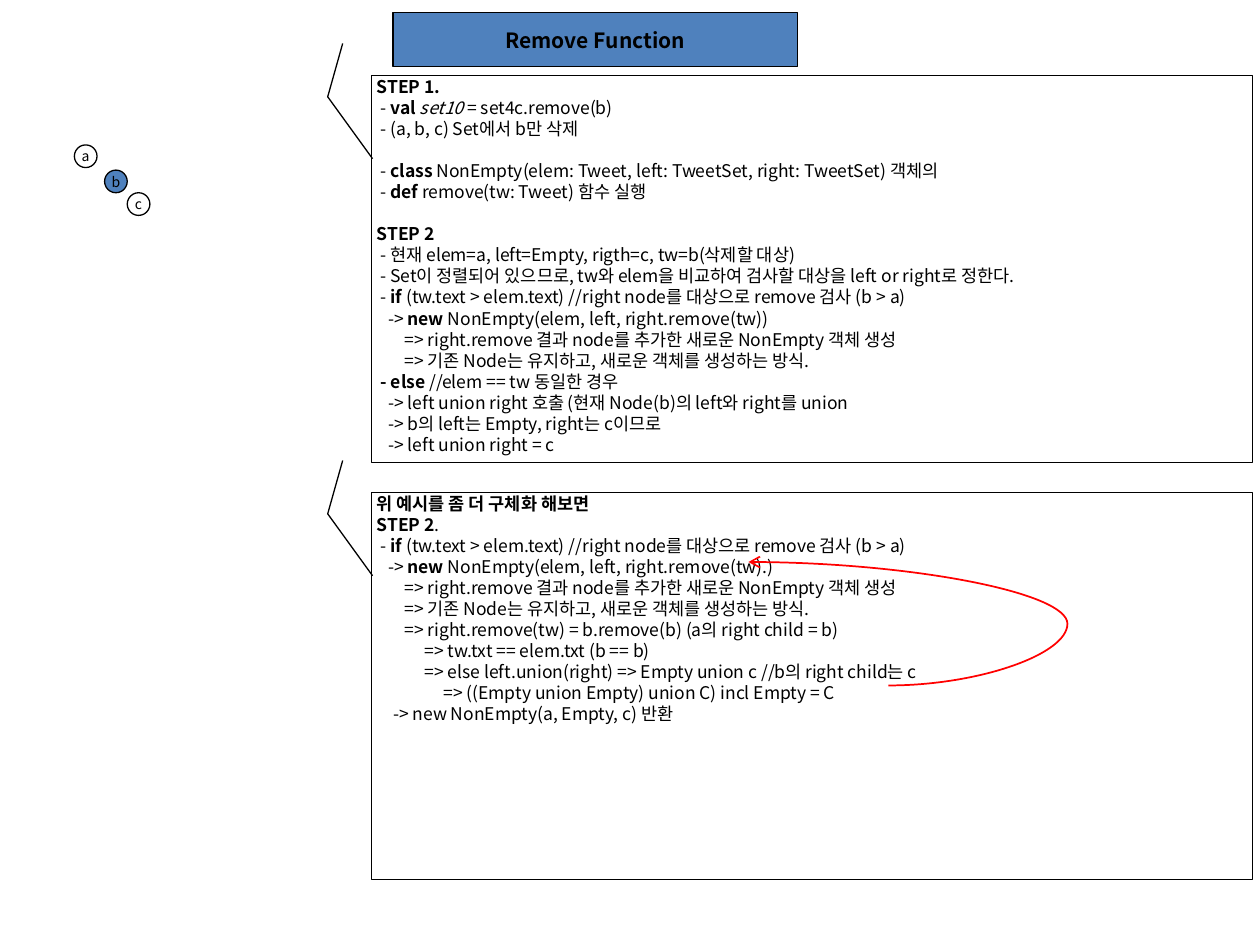
from dataclasses import dataclass

from lxml.etree import SubElement
from pptx import Presentation
from pptx.dml.color import RGBColor
from pptx.enum.shapes import MSO_CONNECTOR, MSO_SHAPE
from pptx.enum.text import MSO_ANCHOR, MSO_AUTO_SIZE, PP_ALIGN
from pptx.oxml.ns import qn
from pptx.util import Inches, Pt

FONT = "Noto Sans CJK KR"
BLACK, WHITE, BLUE, RED = "000000", "FFFFFF", "4F81BD", "FF0000"
LINE_PITCH = Pt(12.05)
CALLOUT_POINTER = (0.215, 0.001, 0.055, -0.05, -0.083, -0.033)


@dataclass
class Line:
    """One line of explanation; *bold* and _italic_ mark the emphasis."""
    text: str
    indent: float = 0.03
    gap: bool = False


@dataclass
class Node:
    label: str
    left: float
    top: float
    fill: str = WHITE


def color(value: str) -> RGBColor:
    return RGBColor.from_string(value)


def style_run(run, size: float, bold: bool = False, italic: bool = False) -> None:
    font = run.font
    font.name, font.size, font.bold, font.italic = FONT, Pt(size), bold, italic
    font.color.rgb = color(BLACK)
    SubElement(run._r.get_or_add_rPr(), qn("a:ea")).set("typeface", FONT)


def style_box(shape, fill: str | None, side_inset: float = 0,
              anchor=MSO_ANCHOR.MIDDLE) -> None:
    if fill:
        shape.fill.solid()
        shape.fill.fore_color.rgb = color(fill)
    else:
        shape.fill.background()
    shape.line.color.rgb = color(BLACK)
    shape.line.width = Pt(0.75)
    frame = shape.text_frame
    frame.auto_size = MSO_AUTO_SIZE.NONE
    frame.word_wrap = True
    frame.vertical_anchor = anchor
    frame.margin_left = frame.margin_right = Inches(side_inset)
    frame.margin_top = frame.margin_bottom = 0


def set_label(shape, text: str, size: float, bold: bool = False) -> None:
    shape.text_frame.text = text
    paragraph = shape.text_frame.paragraphs[0]
    paragraph.alignment = PP_ALIGN.CENTER
    style_run(paragraph.runs[0], size, bold)


def write_line(paragraph, line: Line) -> None:
    paragraph.alignment = PP_ALIGN.LEFT
    paragraph.line_spacing = LINE_PITCH
    paragraph.space_before = LINE_PITCH if line.gap else Pt(0)
    properties = paragraph._p.get_or_add_pPr()
    properties.set("marL", str(Inches(line.indent)))
    properties.set("indent", "0")
    for i, part in enumerate(line.text.split("*")):
        for j, words in enumerate(part.split("_")):
            if words:
                run = paragraph.add_run()
                run.text = words
                style_run(run, 10, bold=i % 2 == 1, italic=j % 2 == 1)


def add_callout(slide, top: float, lines: list[Line]) -> None:
    callout = slide.shapes.add_shape(MSO_SHAPE.LINE_CALLOUT_2, Inches(2.95),
                                     Inches(top), Inches(6.99), Inches(3.07))
    callout.shadow.inherit = False
    for i, value in enumerate(CALLOUT_POINTER):
        callout.adjustments[i] = value
    style_box(callout, None, 0.04, MSO_ANCHOR.TOP)
    frame = callout.text_frame
    for i, line in enumerate(lines):
        write_line(frame.add_paragraph() if i else frame.paragraphs[0], line)


def add_node(group, node: Node) -> None:
    circle = group.shapes.add_shape(MSO_SHAPE.OVAL, Inches(node.left), Inches(node.top),
                                    Inches(0.18), Inches(0.18))
    circle.shadow.inherit = False
    style_box(circle, node.fill)
    circle.text_frame.word_wrap = False
    set_label(circle, node.label, 8)


def add_return_arrow(slide) -> None:
    arrow = slide.shapes.add_connector(MSO_CONNECTOR.CURVE, Inches(5.94), Inches(4.46),
                                       Inches(7.05), Inches(5.44))
    arrow.line.color.rgb = color(RED)
    arrow.line.width = Pt(1)
    properties = arrow._element.spPr
    # Half a turn starts the curve at the lower right; the bend bulges outwards
    properties.find(qn("a:xfrm")).set("rot", "10800000")
    bend = SubElement(properties.find(qn("a:prstGeom")).find(qn("a:avLst")), qn("a:gd"))
    bend.set("name", "adj1")
    bend.set("fmla", "val -128100")
    SubElement(properties.find(qn("a:ln")), qn("a:tailEnd")).set("type", "arrow")
    SubElement(properties, qn("a:effectLst"))


CONDITION = Line("- *if *(tw.text > elem.text) //right node를 대상으로 remove 검사 (b > a)")
NEW_OBJECT = [
    Line("=> right.remove 결과 node를 추가한 새로운 NonEmpty 객체 생성", 0.22),
    Line("=> 기존 Node는 유지하고, 새로운 객체를 생성하는 방식.", 0.22),
]
OVERVIEW = [
    Line("*STEP 1.*", 0),
    Line("- *val *_set10 _= set4c.remove(b)"),
    Line("- (a, b, c) Set에서 b만 삭제"),
    Line("- *class *NonEmpty(elem: Tweet, left: TweetSet, right: TweetSet) 객체의", gap=True),
    Line("- *def *remove(tw: Tweet) 함수 실행"),
    Line("*STEP 2*", 0, gap=True),
    Line("- 현재 elem=a, left=Empty, rigth=c, tw=b(삭제할 대상)"),
    Line("- Set이 정렬되어 있으므로, tw와 elem을 비교하여 검사할 대상을 left or right로 정한다."),
    CONDITION,
    Line("-> *new *NonEmpty(elem, left, right.remove(tw))", 0.09),
    *NEW_OBJECT,
    Line("*- else *//elem == tw 동일한 경우"),
    Line("-> left union right 호출 (현재 Node(b)의 left와 right를 union", 0.09),
    Line("-> b의 left는 Empty, right는 c이므로", 0.09),
    Line("-> left union right = c", 0.09),
]
DETAIL = [
    Line("*위 예시를 좀 더 구체화 해보면*", 0),
    Line("*STEP 2*.", 0),
    CONDITION,
    Line("-> *new *NonEmpty(elem, left, right.remove(tw).)", 0.09),
    *NEW_OBJECT,
    Line("=> right.remove(tw) = b.remove(b) (a의 right child = b)", 0.22),
    Line("=> tw.txt == elem.txt (b == b)", 0.38),
    Line("=> else left.union(right) => Empty union c //b의 right child는 c", 0.38),
    Line("=> ((Empty union Empty) union C) incl Empty = C", 0.53),
    Line("-> new NonEmpty(a, Empty, c) 반환", 0.13),
]
NODES = [Node("a", 0.59, 1.15), Node("b", 0.83, 1.35, BLUE), Node("c", 1.01, 1.53)]

presentation = Presentation()
presentation.slide_width, presentation.slide_height = Inches(10), Inches(7.5)
slide = presentation.slides.add_slide(presentation.slide_layouts[5])

# Heading
heading = slide.shapes.title
heading.left, heading.top = Inches(3.12), Inches(0.1)
heading.width, heading.height = Inches(3.21), Inches(0.43)
style_box(heading, BLUE)
set_label(heading, "Remove Function", 12, bold=True)

# Tree of tweets
tree = slide.shapes.add_group_shape()
for node in NODES:
    add_node(tree, node)

# Explanations, with the result flowing back into the call
add_callout(slide, 0.6, OVERVIEW)
add_callout(slide, 3.91, DETAIL)
add_return_arrow(slide)

presentation.save("out.pptx")
